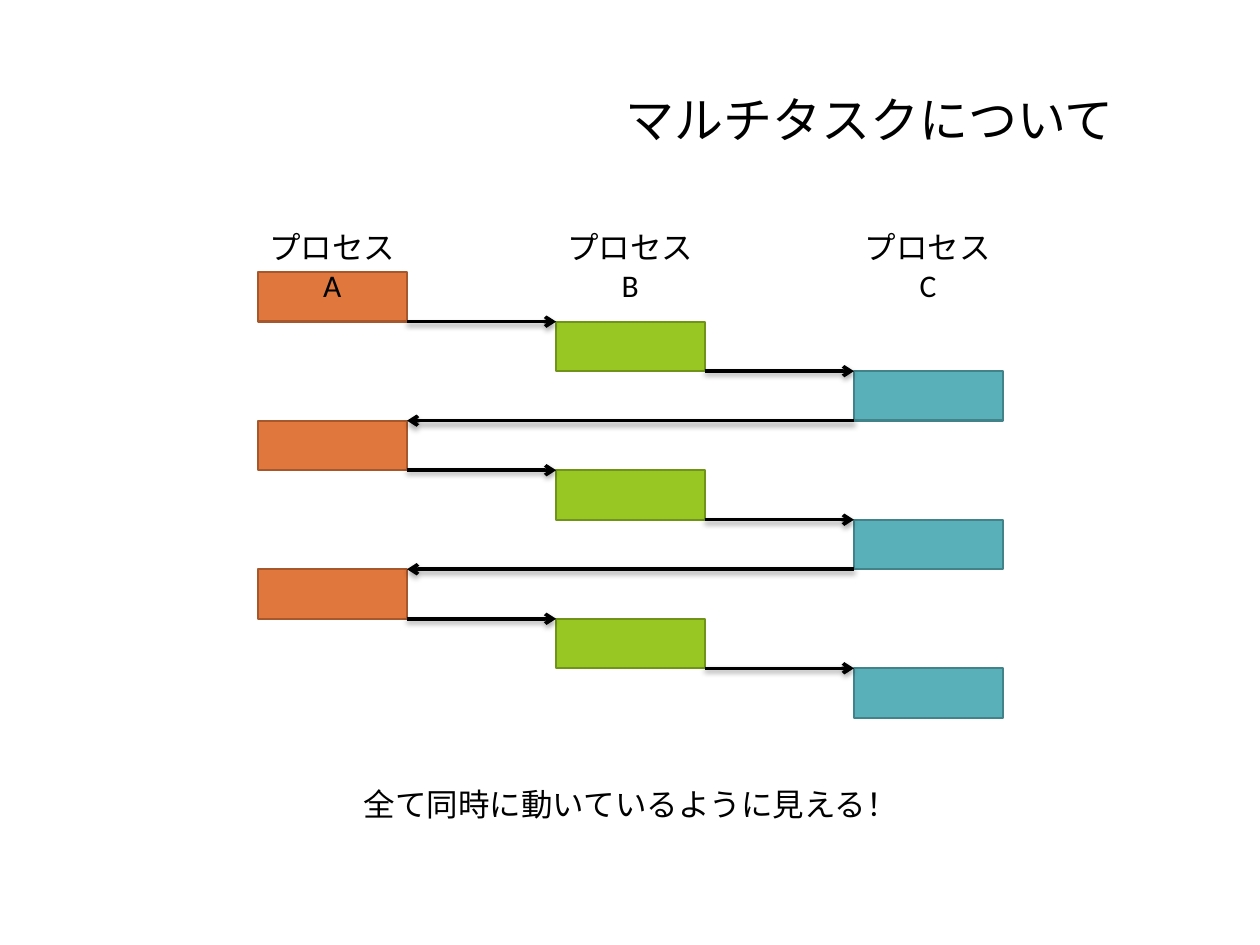
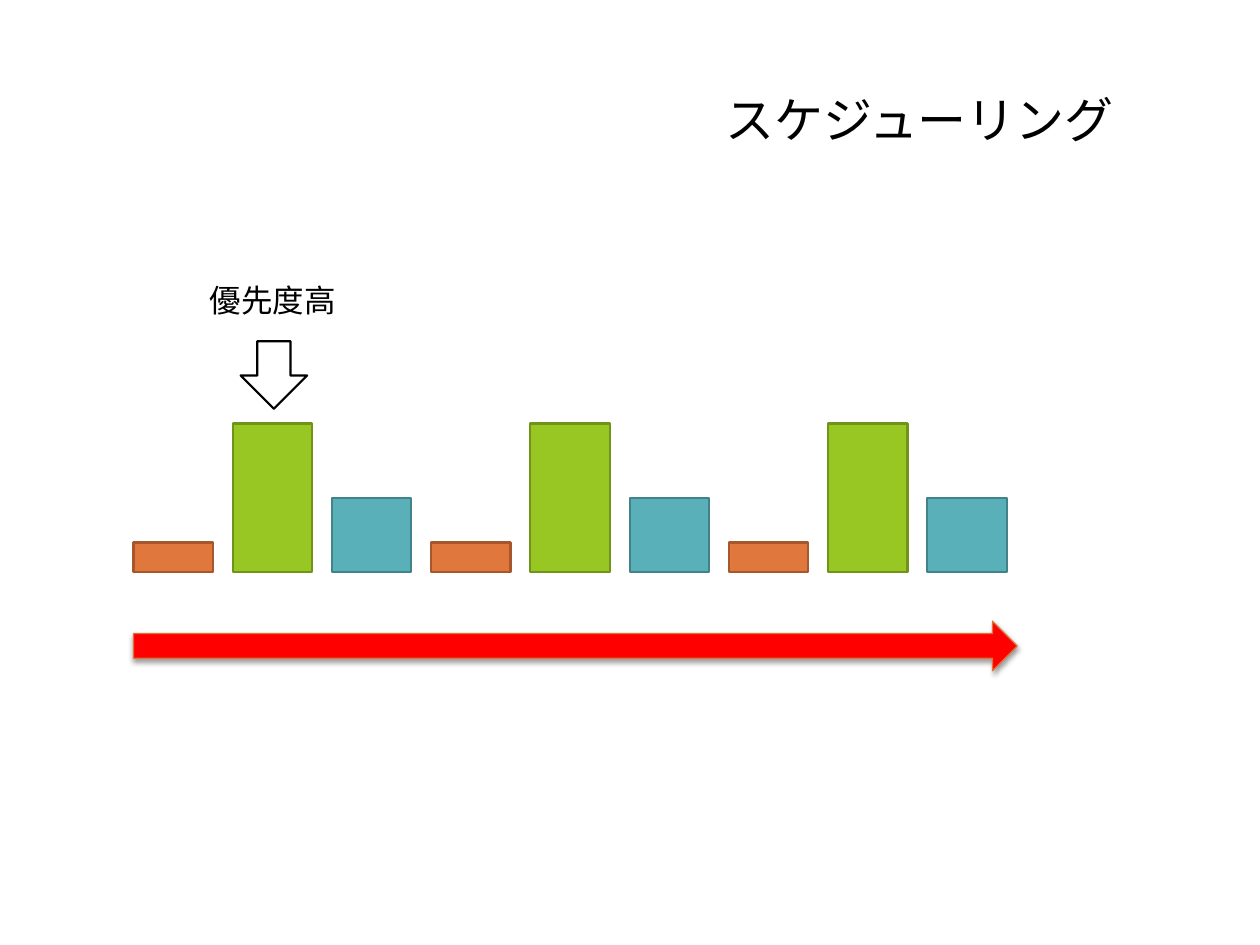
from lxml import etree
from pptx import Presentation
from pptx.dml.color import RGBColor
from pptx.enum.shapes import MSO_CONNECTOR as Connector, MSO_SHAPE as Shape
from pptx.enum.text import MSO_ANCHOR as Anchor, PP_ALIGN as Align
from pptx.oxml.ns import qn
from pptx.util import Pt

BODY_FONT = "Calibri"
TITLE_FONT = "Noto Sans CJK JP"
BLACK = "000000"
PROCESSES = [
    ("A", "E0773C", "A6582C"),
    ("B", "98C723", "70931A"),
    ("C", "59B0B9", "428289"),
]
ROUNDS = 3
TURNS = ROUNDS * len(PROCESSES)


def paint(color_format, color):
    color_format.rgb = RGBColor.from_string(color)


def add_shadow(item, opacity, distance):
    properties = item._element.spPr
    for old in properties.findall(qn("a:effectLst")):
        properties.remove(old)
    effects = etree.SubElement(properties, qn("a:effectLst"))
    shadow = etree.SubElement(
        effects, qn("a:outerShdw"), blurRad=str(Pt(3.1)),
        dist=str(Pt(distance)), dir="5400000", rotWithShape="0")
    color = etree.SubElement(shadow, qn("a:srgbClr"), val=BLACK)
    etree.SubElement(color, qn("a:alpha"), val=str(opacity * 1000))


def add_block(page, kind, left, top, width, height, fill, outline, weight=1.25):
    block = page.shapes.add_shape(kind, Pt(left), Pt(top), Pt(width), Pt(height))
    block.shadow.inherit = False
    block.fill.solid()
    paint(block.fill.fore_color, fill)
    paint(block.line.color, outline)
    block.line.width = Pt(weight)
    return block


def add_text(page, text, left, top, width, height, align=Align.CENTER,
             size=18, font=BODY_FONT, anchor=Anchor.TOP):
    box = page.shapes.add_textbox(Pt(left), Pt(top), Pt(width), Pt(height))
    frame = box.text_frame
    frame.word_wrap = True
    frame.vertical_anchor = anchor
    para = frame.paragraphs[0]
    para.alignment = align
    span = para.add_run()
    span.text = text
    span.font.size = Pt(size)
    span.font.name = font
    paint(span.font.color, BLACK)
    etree.SubElement(span.font._element, qn("a:ea"), typeface=font)


def add_arrow(page, start, end, y):
    arrow = page.shapes.add_connector(
        Connector.STRAIGHT, Pt(start), Pt(y), Pt(end), Pt(y))
    paint(arrow.line.color, BLACK)
    arrow.line.width = Pt(2)
    etree.SubElement(arrow.line._get_or_add_ln(), qn("a:tailEnd"), type="arrow")
    add_shadow(arrow, 35, 1.8)


def add_page(deck, title):
    page = deck.slides.add_slide(deck.slide_layouts[6])
    add_text(page, title, 42.5, 36, 601, 64, Align.RIGHT, 28, TITLE_FONT, Anchor.MIDDLE)
    return page


def build_multitasking(deck):
    page = add_page(deck, "マルチタスクについて")
    top, width, height = 155.5, 85, 28.3
    columns = [147.6 + 170.2 * index for index in range(len(PROCESSES))]

    for turn in range(TURNS):
        column = turn % len(PROCESSES)
        _, fill, outline = PROCESSES[column]
        add_block(page, Shape.RECTANGLE, columns[column], top + turn * height,
                  width, height, fill, outline)
    for left, (name, _, _) in zip(columns, PROCESSES):
        add_text(page, "プロセス" + name, left - 2.5, 126.7, 89.5, 29)
    for turn in range(TURNS - 1):
        column = turn % len(PROCESSES)
        y = top + (turn + 1) * height
        if column < len(PROCESSES) - 1:
            add_arrow(page, columns[column] + width, columns[column + 1], y)
        else:
            add_arrow(page, columns[column], columns[0] + width, y)

    add_text(page, "全て同時に動いているように見える！", 174, 445, 373, 29)


def build_scheduling(deck):
    page = add_page(deck, "スケジューリング")
    left, baseline, pitch, width = 76.3, 327, 56.7, 45.4
    priority_heights = [17, 85, 42.5]

    for turn in range(TURNS):
        process = turn % len(PROCESSES)
        _, fill, outline = PROCESSES[process]
        height = priority_heights[process]
        add_block(page, Shape.RECTANGLE, left + turn * pitch, baseline - height,
                  width, height, fill, outline)

    add_block(page, Shape.DOWN_ARROW, 137.5, 195, 38, 38.6, "FFFFFF", BLACK)
    add_text(page, "優先度高", 112.7, 157, 88, 29, Align.LEFT)
    timeline = add_block(page, Shape.RIGHT_ARROW, left, 355, 505, 28.3,
                         "FF0000", "DF7337", 0.75)
    add_shadow(timeline, 38, 1.6)


def main():
    deck = Presentation()
    deck.slide_width, deck.slide_height = Pt(720), Pt(540)
    build_multitasking(deck)
    build_scheduling(deck)
    deck.save("out.pptx")


if __name__ == "__main__":
    main()
